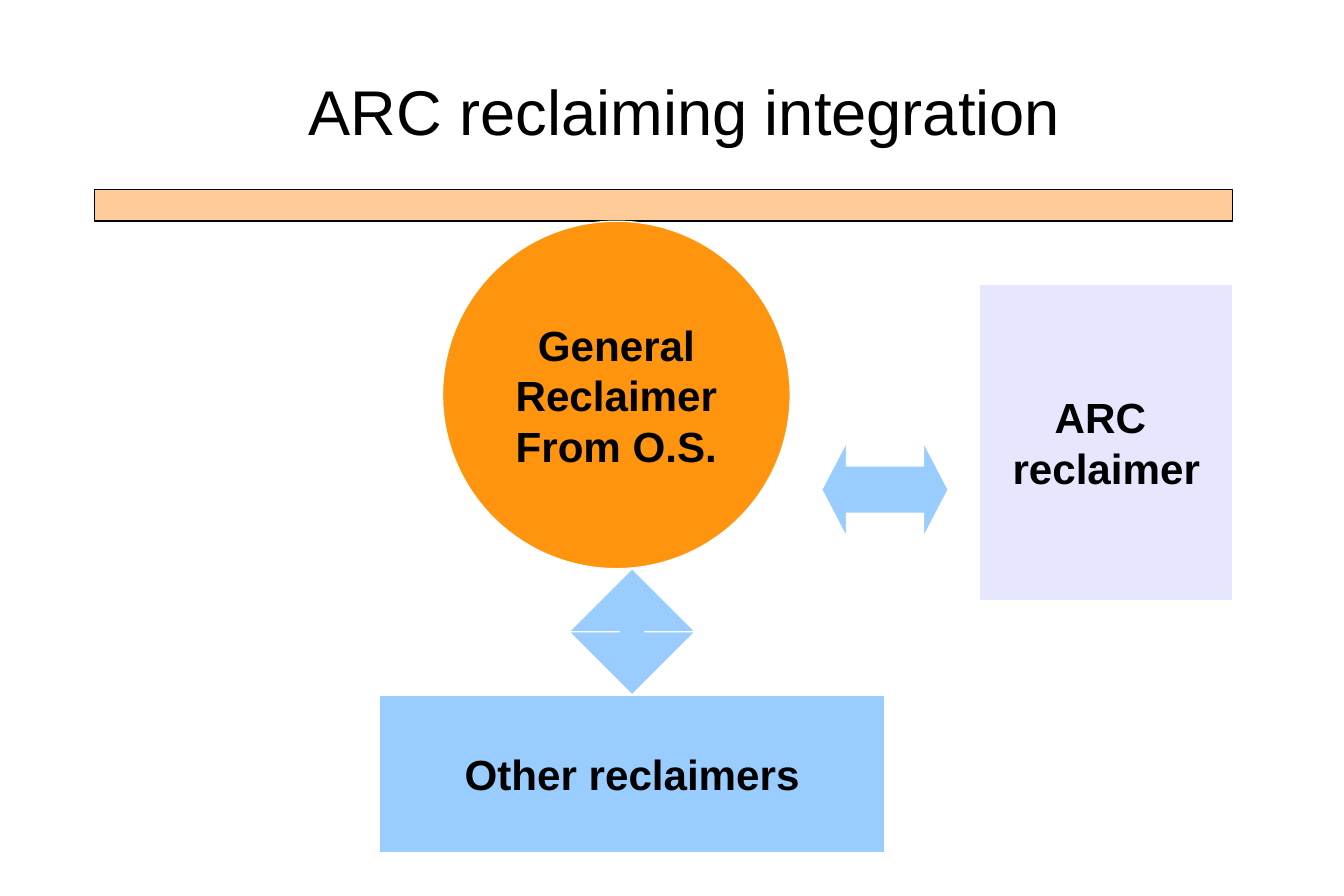
import pptx
import pptx.util
import pptx.dml.color
import pptx.enum.shapes
import pptx.enum.text

RGBColor = pptx.dml.color.RGBColor
Shape = pptx.enum.shapes.MSO_SHAPE
Align = pptx.enum.text.PP_ALIGN

BLACK = RGBColor(0x00, 0x00, 0x00)
WHITE = RGBColor(0xFF, 0xFF, 0xFF)
PEACH = RGBColor(0xFF, 0xCC, 0x99)
LAVENDER = RGBColor(0xE6, 0xE6, 0xFF)
ORANGE = RGBColor(0xFF, 0x95, 0x0E)
SKY = RGBColor(0x99, 0xCC, 0xFF)

EMU_PER_PX = 9144  # 100 px to the inch


def px(*lengths):
    return [pptx.util.Emu(length * EMU_PER_PX) for length in lengths]


class Diagram:
    font = "Arial"
    title_size = 36
    label_size = 24

    def __init__(self, slide):
        self.slide = slide

    def add_lines(self, frame, lines, size, bold, align):
        frame.vertical_anchor = pptx.enum.text.MSO_ANCHOR.MIDDLE
        for index, line in enumerate(lines):
            paragraph = frame.add_paragraph() if index else frame.paragraphs[0]
            paragraph.alignment = align
            run = paragraph.add_run()
            run.text = line
            run.font.name = self.font
            run.font.size = pptx.util.Pt(size)
            run.font.bold = bold
            run.font.color.rgb = BLACK

    def title(self, box, text):
        frame = self.slide.shapes.add_textbox(*px(*box)).text_frame
        frame.word_wrap = True
        frame.margin_left = frame.margin_right = 0
        frame.margin_top = frame.margin_bottom = 0
        self.add_lines(frame, [text], self.title_size, False, Align.LEFT)

    def block(self, kind, box, fill, lines=(), outline=WHITE):
        """Draw a filled shape with a hairline outline and an optional label."""
        block = self.slide.shapes.add_shape(kind, *px(*box))
        block.shadow.inherit = False
        block.fill.solid()
        block.fill.fore_color.rgb = fill
        block.line.color.rgb = outline
        block.line.width = pptx.util.Pt(0)
        if lines:
            block.text_frame.word_wrap = False
            self.add_lines(block.text_frame, lines, self.label_size, True,
                           Align.CENTER)
        return block

    def double_arrow(self, kind, box, head):
        """Draw a two-way arrow; head is its length relative to the short side."""
        arrow = self.block(kind, box, SKY)
        arrow.adjustments[0] = 0.5
        arrow.adjustments[1] = head


def main():
    deck = pptx.Presentation()
    deck.slide_width, deck.slide_height = px(1063, 709)
    diagram = Diagram(deck.slides.add_slide(deck.slide_layouts[6]))

    diagram.title((244, 28, 766, 118), "ARC reclaiming integration")
    diagram.block(Shape.RECTANGLE, (75, 150, 900, 25), PEACH, outline=BLACK)
    diagram.block(Shape.RECTANGLE, (775, 225, 200, 250), LAVENDER,
                  ["ARC ", "reclaimer"])
    diagram.block(Shape.OVAL, (350, 175, 275, 275), ORANGE,
                  ["General", "Reclaimer", "From O.S."])
    diagram.block(Shape.RECTANGLE, (300, 550, 400, 125), SKY,
                  ["Other reclaimers"])
    diagram.double_arrow(Shape.LEFT_RIGHT_ARROW, (650, 350, 100, 75), 0.26)
    diagram.double_arrow(Shape.UP_DOWN_ARROW, (450, 450, 100, 100), 0.2)

    deck.save("out.pptx")


if __name__ == "__main__":
    main()
